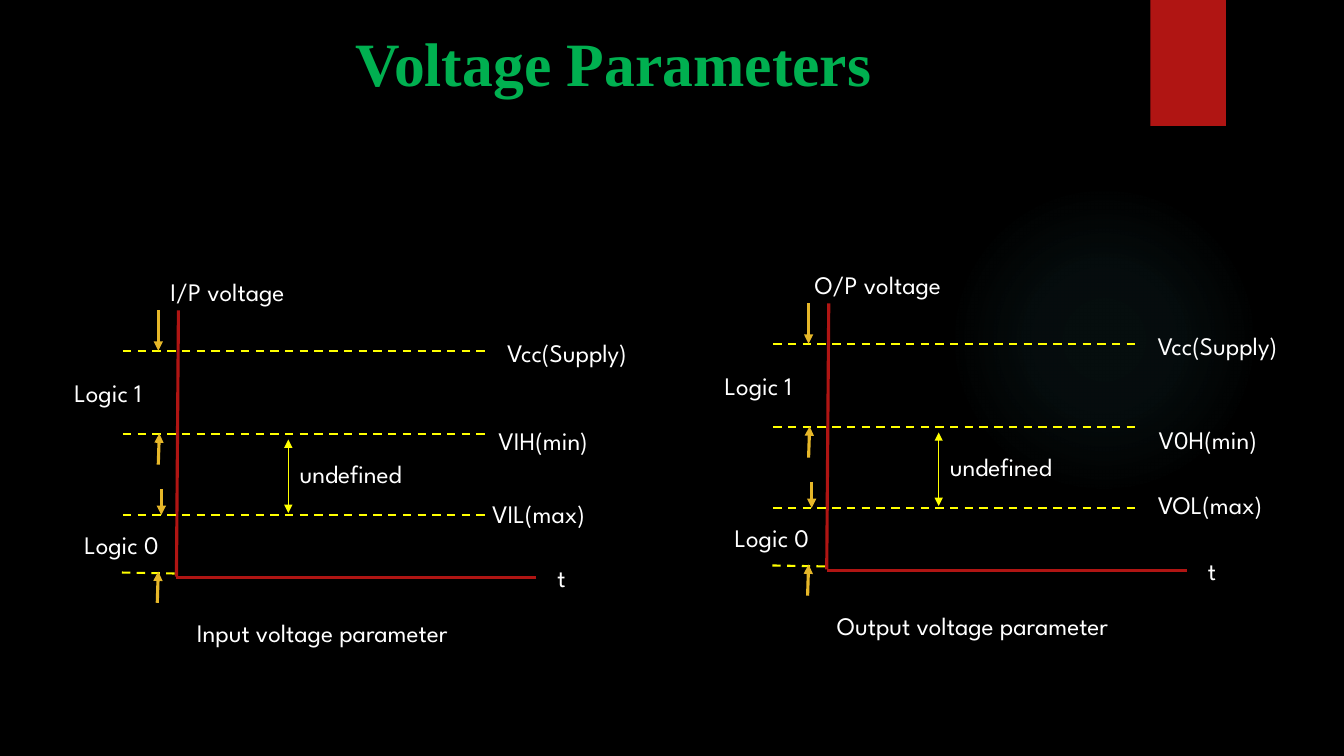
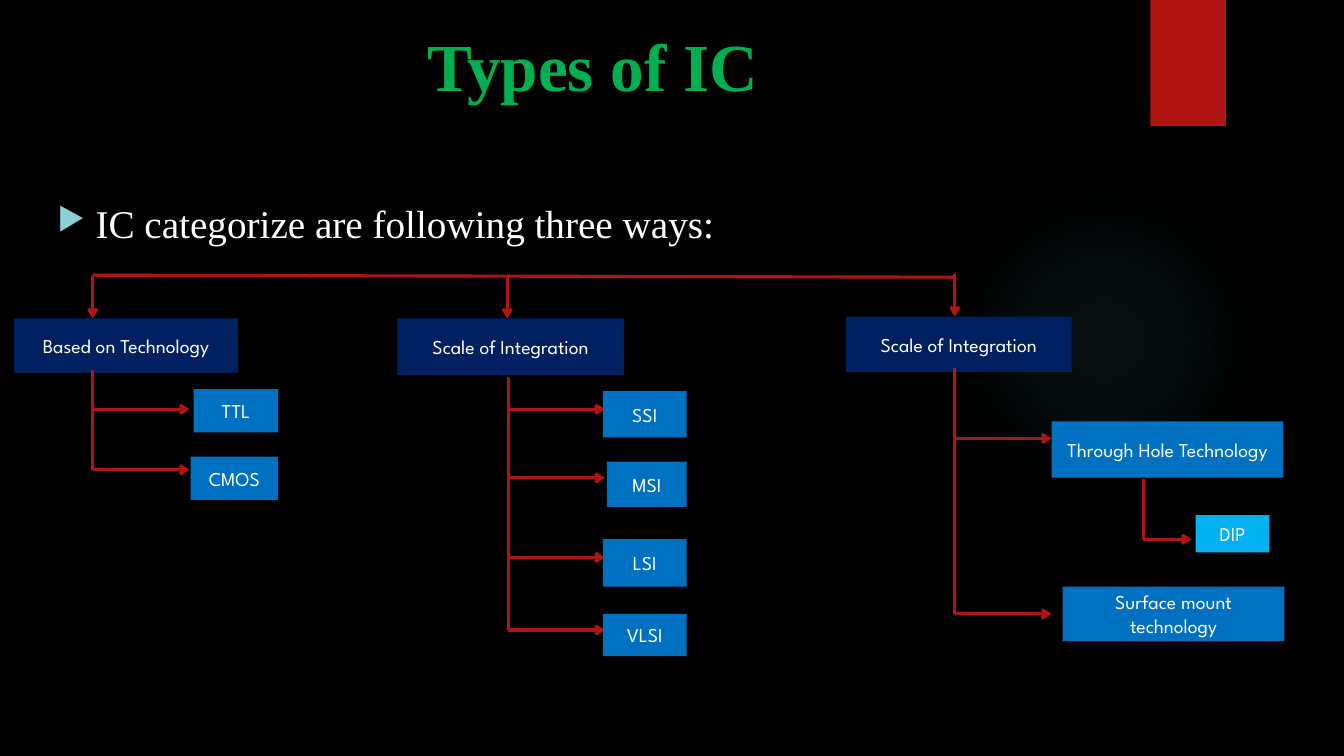
from lxml import etree
from pptx import Presentation
from pptx.dml.color import RGBColor
from pptx.enum import dml, shapes, text
from pptx.oxml import parse_xml
from pptx.oxml.ns import nsdecls, qn
from pptx.util import Inches, Pt

BLACK = RGBColor(0x00, 0x00, 0x00)
WHITE = RGBColor(0xFF, 0xFF, 0xFF)
RED = RGBColor(0xB0, 0x15, 0x13)
GREEN = RGBColor(0x00, 0xB0, 0x50)
YELLOW = RGBColor(0xFF, 0xFF, 0x00)
GOLD = RGBColor(0xE6, 0xB7, 0x29)
NAVY = RGBColor(0x00, 0x20, 0x60)
BLUE = RGBColor(0x00, 0x70, 0xC0)
SKY = RGBColor(0x00, 0xB0, 0xF0)
TEAL = RGBColor(0x50, 0xB9, 0xC1)
AQUA = RGBColor(0x8A, 0xD0, 0xD6)
SERIF = "Times New Roman"
SANS = "League Spartan"
KIND = shapes.MSO_SHAPE


class Deck:
    def __init__(self):
        self.prs = Presentation()
        self.prs.slide_width = Inches(13.33)
        self.prs.slide_height = Inches(7.5)

    def page(self, title, box, size):
        self.slide = self.prs.slides.add_slide(self.prs.slide_layouts[6])
        self.home = self.slide.shapes
        self.move()
        fill = self.slide.background.fill
        fill.solid()
        fill.fore_color.rgb = BLACK
        self.glow()
        self.shape(KIND.RECTANGLE, (11.41, 0, 0.75, 1.25), RED)
        frame = self.frame(box, 0.13)
        para = frame.paragraphs[0]
        para.alignment = text.PP_ALIGN.CENTER
        self.run(para, title, size, SERIF, GREEN, True)

    def move(self, dx=0, dy=0, group=False):
        self.dx, self.dy = dx, dy
        self.into = self.home.add_group_shape().shapes if group else self.home

    def spot(self, x, y):
        return Inches(x + self.dx), Inches(y + self.dy)

    def glow(self):
        orb = self.shape(KIND.OVAL, (9.41, 1.83, 3.08, 3.08))
        stops = "".join(
            f'<a:gs pos="{pos}000"><a:srgbClr val="{TEAL}">'
            f'<a:alpha val="{alpha}000"/></a:srgbClr></a:gs>'
            for pos, alpha in ((0, 7), (36, 6), (69, 0)))
        grad = parse_xml(
            f'<a:gradFill {nsdecls("a")}><a:gsLst>{stops}</a:gsLst>'
            '<a:path path="circle"><a:fillToRect l="50000" t="50000" '
            'r="50000" b="50000"/></a:path></a:gradFill>')
        props = orb.element.spPr
        props.replace(props.find(qn("a:noFill")), grad)

    def frame(self, box, top):
        x, y, w, h = box
        item = self.into.add_textbox(*self.spot(x, y), Inches(w), Inches(h))
        item.text_frame.word_wrap = True
        item.text_frame.margin_top = Inches(top)
        return item.text_frame

    def run(self, para, words, size, font, color, bold=False):
        run = para.add_run()
        run.text = words
        run.font.size = Pt(size)
        run.font.name = font
        run.font.bold = bold
        run.font.color.rgb = color

    def bullet(self, words, box):
        para = self.frame(box, 0.09).paragraphs[0]
        props = para._p.get_or_add_pPr()
        props.set("marL", str(Inches(0.38)))
        props.set("indent", str(Inches(-0.38)))
        color = etree.SubElement(props, qn("a:buClr"))
        etree.SubElement(color, qn("a:srgbClr"), val=str(AQUA))
        etree.SubElement(props, qn("a:buSzPct"), val="80000")
        etree.SubElement(props, qn("a:buChar"), char="▶")
        self.run(para, words, 28, SERIF, WHITE)

    def shape(self, kind, box, color=None):
        x, y, w, h = box
        item = self.into.add_shape(kind, *self.spot(x, y), Inches(w), Inches(h))
        item.shadow.inherit = False
        item.line.fill.background()
        if color is None:
            item.fill.background()
        else:
            item.fill.solid()
            item.fill.fore_color.rgb = color
        return item

    def label(self, words, box, size=18, kind=KIND.ROUND_1_RECTANGLE, color=None):
        frame = self.shape(kind, box, color).text_frame
        frame.word_wrap = True
        frame.vertical_anchor = text.MSO_ANCHOR.MIDDLE
        para = frame.paragraphs[0]
        para.alignment = text.PP_ALIGN.CENTER
        self.run(para, words, size, SANS, WHITE)

    def block(self, words, box, color=BLUE):
        self.label(words, box, 14, KIND.RECTANGLE, color)

    def line(self, ends, color=RED, width=2.25, dash=False, head=None, tail=None):
        x1, y1, x2, y2 = ends
        item = self.into.add_connector(
            shapes.MSO_CONNECTOR.STRAIGHT, *self.spot(x1, y1), *self.spot(x2, y2))
        item.line.color.rgb = color
        item.line.width = Pt(width)
        if dash:
            item.line.dash_style = dml.MSO_LINE.DASH
        props = item.element.spPr
        stroke = props.find(qn("a:ln"))
        for tag, tip in (("a:headEnd", head), ("a:tailEnd", tail)):
            if tip:
                etree.SubElement(stroke, qn(tag), type=tip)
        etree.SubElement(props, qn("a:effectLst"))

    def graph(self, shift, axis, title, marks):
        self.move(*shift, group=True)
        self.line((1.77, 3.08, 1.75, 5.72))
        self.line((5.32, 5.73, 1.75, 5.73))
        for y in (5.11, 4.31, 3.48):
            self.line((1.22, y, 4.85, y), YELLOW, 1.5, dash=True)
        labels = (
            (title, (1.57, 6, 3.28, 0.54)),
            ("t", (5.2, 5.54, 0.76, 0.38)),
            (axis, (1.39, 2.71, 1.75, 0.37)),
            ("Logic 1", (0.39, 3.73, 1.38, 0.33)),
            ("Logic 0", (0.6, 5.21, 1.23, 0.38)),
            ("undefined", (2.71, 4.56, 1.55, 0.27)),
            ("Vcc(Supply)", (4.82, 3.29, 1.63, 0.42)),
        )
        for words, box in labels + marks:
            self.label(words, box)
        self.line((2.86, 4.36, 2.86, 5.09), YELLOW, 0.75,
                  head="triangle", tail="triangle")
        self.line((1.21, 5.68, 1.75, 5.69), YELLOW, 1.5, dash=True)
        for ends in ((1.57, 3.08, 1.57, 3.48), (1.6, 4.85, 1.6, 5.11),
                     (1.57, 4.61, 1.58, 4.3), (1.56, 5.98, 1.57, 5.67)):
            self.line(ends, GOLD, tail="triangle")
        self.move()

    def tree(self, x, top, rows, reach=0.96):
        self.line((x, top, x, rows[-1]))
        for y in rows:
            self.line((x, y, x + reach, y), tail="arrow")


def volts(deck):
    deck.page("Voltage Parameters", (0.96, 0.12, 10.25, 0.84), 44)
    deck.graph((0, 0), "I/P voltage", "Input voltage parameter", (
        ("VIH(min)", (4.77, 4.21, 1.25, 0.32)),
        ("VIL(max)", (4.68, 4.93, 1.34, 0.32))))
    deck.graph((6.45, -0.07), "O/P voltage", "Output voltage parameter", (
        ("V0H(min)", (4.76, 4.3, 1.55, 0.26)),
        ("VOL(max)", (4.89, 4.91, 1.34, 0.32))))


def types(deck):
    deck.page("Types of IC", (0.72, 0.11, 10.32, 1.08), 48)
    deck.bullet("IC categorize are following three ways:", (0.47, 1.89, 12.26, 5.41))
    deck.line((0.92, 2.73, 9.47, 2.75))
    for x, y in ((0.92, 2.74), (5.03, 2.74), (9.47, 2.72)):
        deck.line((x, y, x, y + 0.42), tail="arrow")
    for words, box in (
        ("Based on Technology", (0.14, 3.16, 2.22, 0.54)),
        ("Scale of Integration", (3.94, 3.16, 2.25, 0.56)),
        ("Scale of Integration", (8.39, 3.14, 2.24, 0.55)),
    ):
        deck.block(words, box, NAVY)
    deck.tree(0.92, 3.67, (4.06, 4.66))
    deck.tree(5.04, 3.74, (4.06, 4.74, 5.53, 6.25))
    deck.tree(9.47, 3.65, (4.35, 6.09))
    deck.tree(11.34, 4.75, (5.35,), 0.48)
    for words, box in (
        ("TTL", (1.92, 3.86, 0.84, 0.43)),
        ("CMOS", (1.89, 4.53, 0.87, 0.43)),
        ("SSI", (5.98, 3.88, 0.83, 0.46)),
        ("MSI", (6.02, 4.58, 0.79, 0.45)),
        ("LSI", (5.98, 5.35, 0.83, 0.47)),
        ("VLSI", (5.98, 6.09, 0.83, 0.42)),
        ("Through Hole Technology", (10.43, 4.18, 2.3, 0.56)),
        ("Surface mount technology", (10.54, 5.82, 2.2, 0.54)),
    ):
        deck.block(words, box)
    deck.block("DIP", (11.86, 5.11, 0.73, 0.37), SKY)


def main():
    deck = Deck()
    volts(deck)
    types(deck)
    deck.prs.save("out.pptx")


if __name__ == "__main__":
    main()
